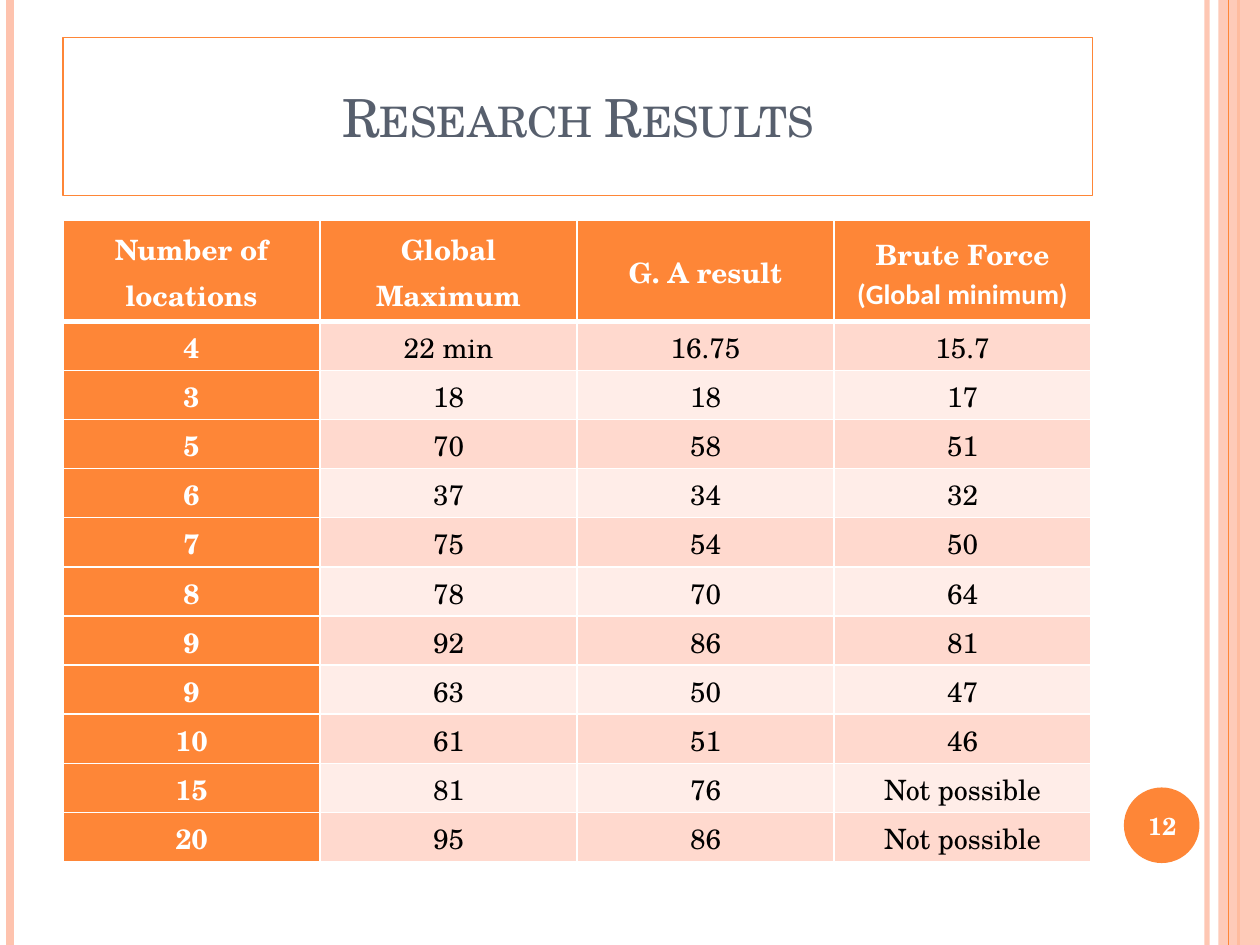
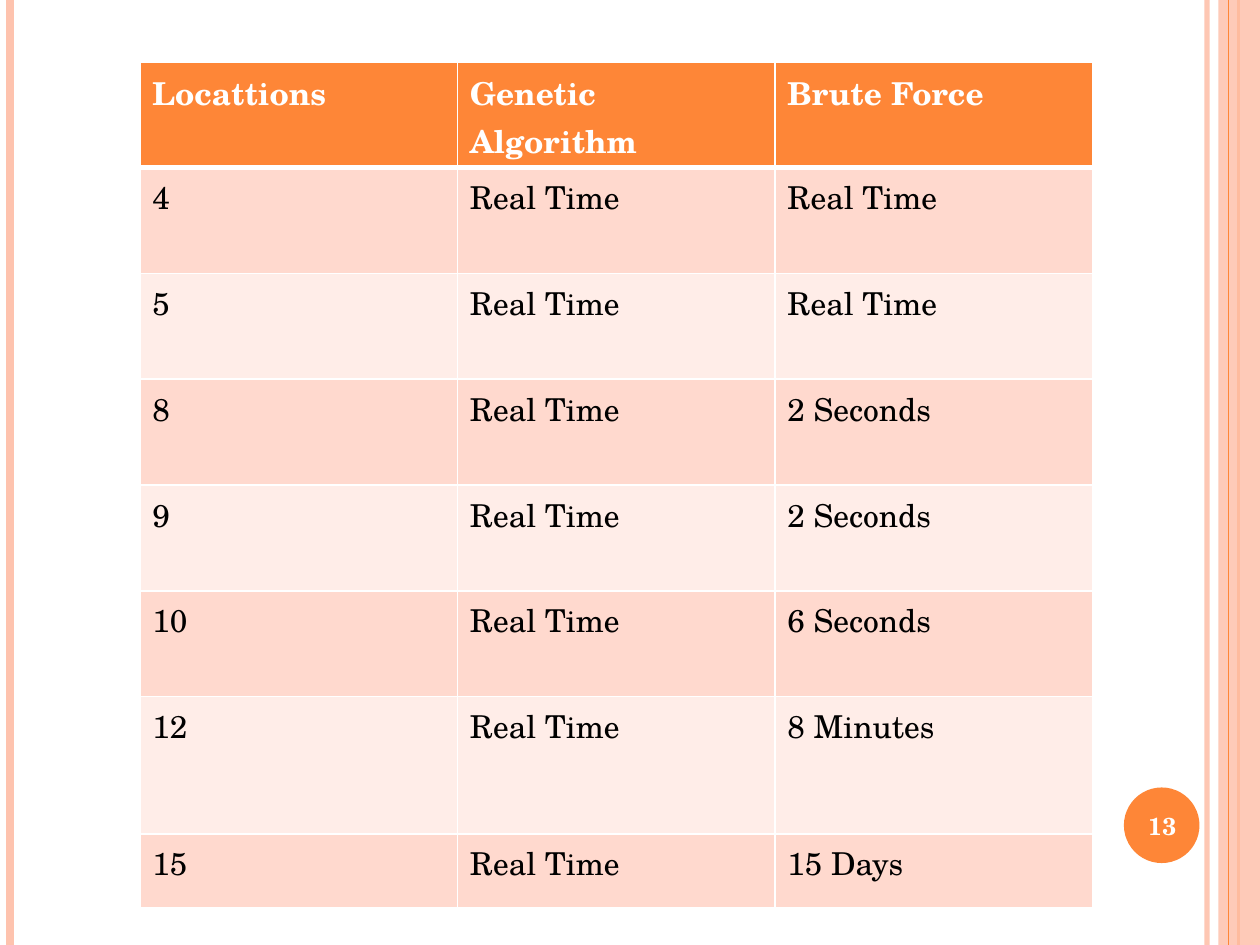
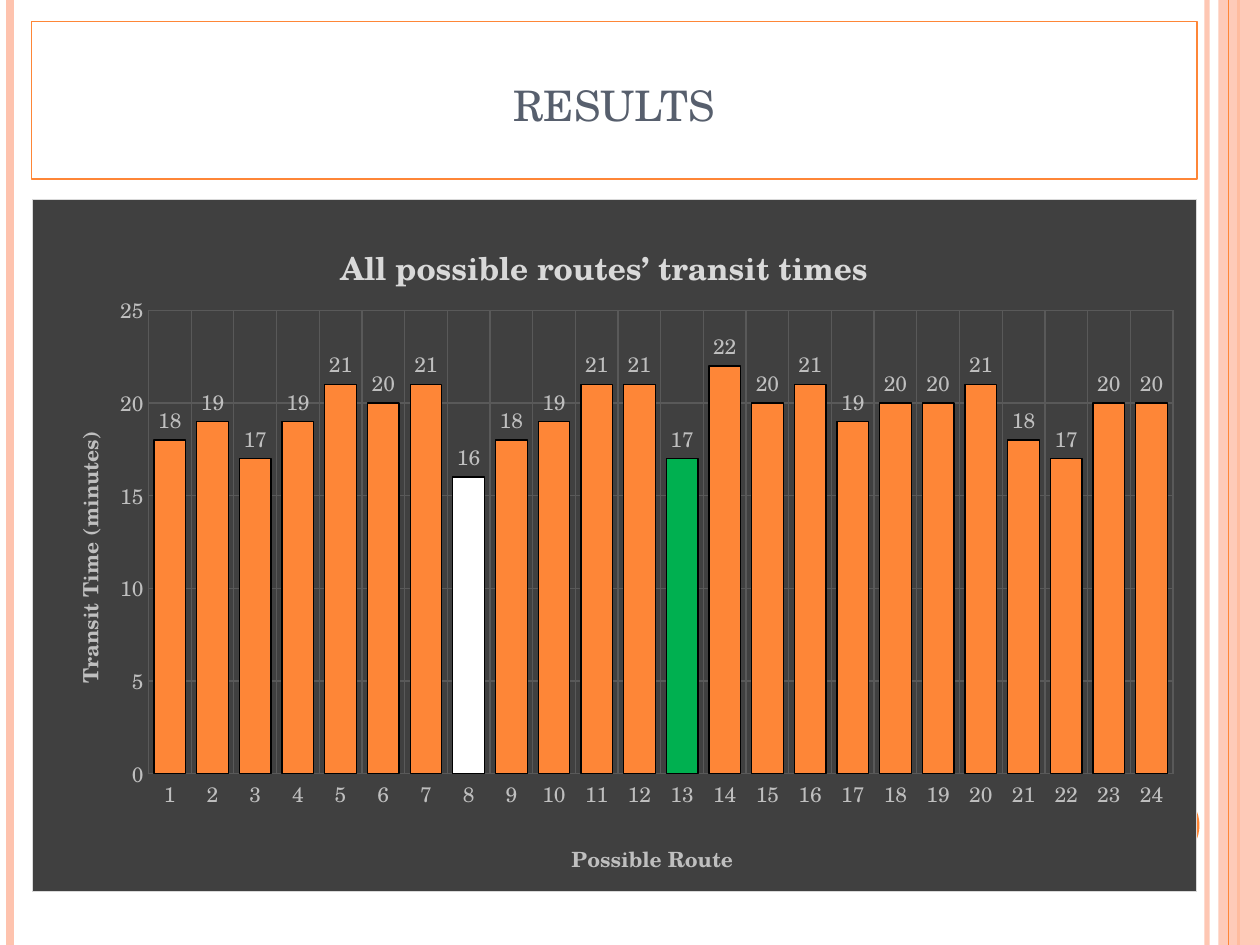
from dataclasses import dataclass
from typing import NamedTuple, Optional

from lxml.etree import SubElement
from pptx import Presentation
from pptx.chart.data import CategoryChartData
from pptx.dml.color import RGBColor
from pptx.enum.chart import XL_CHART_TYPE as ChartType
from pptx.enum.chart import XL_LABEL_POSITION as LabelPos
from pptx.enum.chart import XL_TICK_MARK as Tick
from pptx.enum.shapes import MSO_CONNECTOR as Connector
from pptx.enum.shapes import MSO_SHAPE as Shape
from pptx.enum.text import MSO_ANCHOR as Anchor
from pptx.enum.text import PP_ALIGN as Align
from pptx.oxml import parse_xml
from pptx.oxml.ns import nsdecls, qn
from pptx.util import Emu, Pt

EMU_PER_PX = 9144
SLIDE_W, SLIDE_H = 1000, 750
TITLE_ONLY, BLANK = 5, 6


@dataclass(frozen=True)
class Theme:
    font: str = "TeX Gyre Schola"
    note_font: str = "Calibri"
    accent: str = "FE8637"
    pale: str = "FEC3AE"
    title: str = "575F6D"
    white: str = "FFFFFF"
    black: str = "000000"
    row_fills: tuple[str, str] = ("FFD9CE", "FFEDE8")
    chart_fill: str = "404040"
    chart_border: str = "D9D9D9"
    chart_text: str = "BFBFBF"
    grid: str = "595959"
    found_route: str = "00B050"
    title_size: int = 30
    number_size: int = 14
    chart_title_size: int = 18
    chart_size: int = 12


THEME = Theme()


class Box(NamedTuple):
    x: int
    y: int
    w: int
    h: int


class Stripe(NamedTuple):
    x: int
    color: str
    width: float
    alpha: int = 100


@dataclass(frozen=True)
class TableSpec:
    x: int
    y: int
    col_w: int
    row_heights: list[int]
    rows: list[tuple[str, ...]]
    size: int
    margins: tuple[int, int]
    align: Align = Align.LEFT
    anchor: Anchor = Anchor.TOP
    spacing: Optional[float] = None
    header_column: bool = False


LEFT_STRIPES = [
    Stripe(958, THEME.pale, 3, 93),
    Stripe(8, THEME.pale, 4.5),
    Stripe(983, THEME.accent, 1.5),
]
INNER_STRIPE = Stripe(975, THEME.accent, 0.75)
SIDE_BAND = Box(967, 0, 33, SLIDE_H)
BADGE = Box(892, 625, 60, 60)
NUMBER = Box(889, 627, 67, 57)

RESULTS_TABLE = TableSpec(
    x=50, y=175, col_w=204, row_heights=[80] + [39] * 11,
    rows=[
        ("Number of locations", "Global Maximum", "G. A result",
         "Brute Force\n(Global minimum)"),
        ("4", "22 min", "16.75", "15.7"),
        ("3", "18", "18", "17"),
        ("5", "70", "58", "51"),
        ("6", "37", "34", "32"),
        ("7", "75", "54", "50"),
        ("8", "78", "70", "64"),
        ("9", "92", "86", "81"),
        ("9", "63", "50", "47"),
        ("10", "61", "51", "46"),
        ("15", "81", "76", "Not possible"),
        ("20", "95", "86", "Not possible"),
    ],
    size=16, margins=(7, 0), align=Align.CENTER, anchor=Anchor.MIDDLE,
    spacing=1.07, header_column=True,
)

TIMING_TABLE = TableSpec(
    x=111, y=49, col_w=252, row_heights=[84] * 6 + [109, 59],
    rows=[
        ("Locattions", "Genetic Algorithm", "Brute Force"),
        ("4", "Real Time", "Real Time"),
        ("5", "Real Time", "Real Time"),
        ("8", "Real Time", "2 Seconds"),
        ("9", "Real Time", "2 Seconds"),
        ("10", "Real Time", "6 Seconds"),
        ("12", "Real Time", "8 Minutes"),
        ("15", "Real Time", "15 Days"),
    ],
    size=18, margins=(10, 5),
)

TRANSIT_TIMES = [18, 19, 17, 19, 21, 20, 21, 16, 18, 19, 21, 21,
                 17, 22, 20, 21, 19, 20, 20, 21, 18, 17, 20, 20]
MARKED_ROUTES = {8: THEME.white, 13: THEME.found_route}


def px(n: int) -> Emu:
    return Emu(n * EMU_PER_PX)


def rgb(color: str) -> RGBColor:
    return RGBColor.from_string(color)


def place(box: Box) -> tuple[Emu, ...]:
    return tuple(px(n) for n in box)


def set_font(font, size: float, color: str, bold: bool = False,
             name: str = THEME.font) -> None:
    font.name = name
    font.size = Pt(size)
    font.bold = bold
    font.color.rgb = rgb(color)


def set_fill(fill, color: str) -> None:
    fill.solid()
    fill.fore_color.rgb = rgb(color)


def set_line(line, color: str, width: float) -> None:
    set_fill(line.fill, color)
    line.width = Pt(width)


def set_alpha(element, percent: int) -> None:
    clr = element.find(".//" + qn("a:srgbClr"))
    SubElement(clr, qn("a:alpha"), val=str(percent * 1000))


def add_stripe(s, stripe: Stripe) -> None:
    c = s.shapes.add_connector(Connector.STRAIGHT, px(stripe.x), px(0),
                               px(stripe.x), px(SLIDE_H))
    set_line(c.line, stripe.color, stripe.width)
    sp_pr = c._element.spPr
    SubElement(sp_pr, qn("a:effectLst"))
    if stripe.alpha < 100:
        set_alpha(sp_pr, stripe.alpha)


def add_solid(s, kind: Shape, box: Box, color: str):
    sp = s.shapes.add_shape(kind, *place(box))
    sp.shadow.inherit = False
    set_fill(sp.fill, color)
    sp.line.fill.background()
    return sp


def add_frame(s) -> None:
    for stripe in LEFT_STRIPES:
        add_stripe(s, stripe)
    band = add_solid(s, Shape.RECTANGLE, SIDE_BAND, THEME.pale)
    set_alpha(band._element.spPr, 87)
    add_stripe(s, INNER_STRIPE)
    add_solid(s, Shape.OVAL, BADGE, THEME.accent)


def add_number(s, number: int) -> None:
    tf = s.shapes.add_textbox(*place(NUMBER)).text_frame
    tf.word_wrap = True
    tf.vertical_anchor = Anchor.MIDDLE
    p = tf.paragraphs[0]
    p.text = str(number)
    p.alignment = Align.CENTER
    set_font(p.font, THEME.number_size, THEME.white, bold=True)


def set_title(s, text: str, box: Box) -> None:
    sp = s.shapes.title
    sp.left, sp.top, sp.width, sp.height = place(box)
    set_line(sp.line, THEME.accent, 0.75)
    tf = sp.text_frame
    tf.vertical_anchor = Anchor.MIDDLE
    p = tf.paragraphs[0]
    p.text = text
    p.alignment = Align.CENTER
    set_font(p.font, THEME.title_size, THEME.title)
    p.font._rPr.set("cap", "small")


def add_slide(prs, title: Optional[str] = None, box: Optional[Box] = None):
    s = prs.slides.add_slide(prs.slide_layouts[TITLE_ONLY if title else BLANK])
    if title:
        set_title(s, title, box)
    add_frame(s)
    return s


def set_borders(cell, row: int) -> None:
    tc_pr = cell._tc.get_or_add_tcPr()
    widths = {"L": 1, "R": 1, "T": 3 if row == 1 else 1, "B": 3 if row == 0 else 1}
    for side, width in widths.items():
        ln = SubElement(tc_pr, qn(f"a:ln{side}"), w=str(Pt(width)))
        fill = SubElement(ln, qn("a:solidFill"))
        SubElement(fill, qn("a:srgbClr"), val=THEME.white)


def fill_cell(cell, text: str, spec: TableSpec, row: int, col: int) -> None:
    is_header = row == 0 or (spec.header_column and col == 0)
    set_borders(cell, row)
    set_fill(cell.fill, THEME.accent if is_header else THEME.row_fills[(row - 1) % 2])
    cell.margin_left = cell.margin_right = px(spec.margins[0])
    cell.margin_top = cell.margin_bottom = px(spec.margins[1])
    cell.vertical_anchor = spec.anchor
    cell.text = text
    for p in cell.text_frame.paragraphs:
        p.alignment = spec.align
        p.line_spacing = spec.spacing
        name = THEME.note_font if p.text.startswith("(") else THEME.font
        set_font(p.font, spec.size, THEME.white if is_header else THEME.black,
                 is_header, name)


def add_data_table(s, spec: TableSpec) -> None:
    n_cols = len(spec.rows[0])
    box = Box(spec.x, spec.y, spec.col_w * n_cols, sum(spec.row_heights))
    table = s.shapes.add_table(len(spec.rows), n_cols, *place(box)).table
    table.first_row = table.horz_banding = False
    tbl_pr = table._tbl.tblPr
    tbl_pr.remove(tbl_pr.find(qn("a:tableStyleId")))
    for column in table.columns:
        column.width = px(spec.col_w)
    for row, (height, texts) in enumerate(zip(spec.row_heights, spec.rows)):
        table.rows[row].height = px(height)
        for col, text in enumerate(texts):
            fill_cell(table.cell(row, col), text, spec, row, col)


def make_layout(x: float, y: float, size: Optional[tuple[float, float]] = None):
    values = {"xMode": "edge", "yMode": "edge", "x": x, "y": y}
    if size:
        values = {"layoutTarget": "inner", **values, "w": size[0], "h": size[1]}
    items = "".join(f'<c:{tag} val="{value}"/>' for tag, value in values.items())
    return parse_xml(f'<c:layout {nsdecls("c")}><c:manualLayout>{items}'
                     "</c:manualLayout></c:layout>")


def drop_layout(element) -> None:
    for old in element.findall(qn("c:layout")):
        element.remove(old)


def set_chart_title(title, text: str, size: int, color: str,
                    x: float, y: float) -> None:
    p = title.text_frame.paragraphs[0]
    p.text = text
    set_font(p.font, size, color, bold=True)
    element = title._element
    drop_layout(element)
    element.find(qn("c:tx")).addnext(make_layout(x, y))


def style_axis(axis, text: str, x: float, y: float) -> None:
    axis.major_tick_mark = axis.minor_tick_mark = Tick.NONE
    axis.format.line.fill.background()
    axis.has_major_gridlines = True
    set_line(axis.major_gridlines.format.line, THEME.grid, 0.75)
    set_font(axis.tick_labels.font, THEME.chart_size, THEME.chart_text)
    set_chart_title(axis.axis_title, text, THEME.chart_size, THEME.chart_text, x, y)


def style_chart_area(chart) -> None:
    chart._chartSpace.find(qn("c:chart")).addnext(parse_xml(
        f'<c:spPr {nsdecls("c", "a")}>'
        f'<a:solidFill><a:srgbClr val="{THEME.chart_fill}"/></a:solidFill>'
        f'<a:ln w="{Pt(0.75)}"><a:solidFill><a:srgbClr val="{THEME.chart_border}"/>'
        "</a:solidFill></a:ln></c:spPr>"))
    plot_area = chart._chartSpace.find(".//" + qn("c:plotArea"))
    drop_layout(plot_area)
    plot_area.insert(0, make_layout(0.1, 0.16, (0.88, 0.67)))


def style_bars(plot) -> None:
    plot.gap_width = 35
    plot.overlap = -30
    plot.vary_by_categories = False
    series = plot.series[0]
    series.invert_if_negative = False
    set_fill(series.format.fill, THEME.accent)
    set_line(series.format.line, THEME.black, 0.75)
    for route, color in MARKED_ROUTES.items():
        point = series.points[route - 1].format
        set_fill(point.fill, color)
        set_line(point.line, THEME.black, 0.75)
    plot.has_data_labels = True
    labels = plot.data_labels
    labels.show_value = True
    labels.position = LabelPos.OUTSIDE_END
    set_font(labels.font, THEME.chart_size, THEME.chart_text)


def add_route_chart(s, box: Box) -> None:
    data = CategoryChartData()
    data.categories = [str(n + 1) for n in range(len(TRANSIT_TIMES))]
    data.add_series("Series 1", TRANSIT_TIMES)
    chart = s.shapes.add_chart(ChartType.COLUMN_CLUSTERED, *place(box), data).chart
    set_font(chart.font, 10, THEME.black)
    chart.has_legend = False
    chart.has_title = True
    set_chart_title(chart.chart_title, "All possible routes’ transit times",
                    THEME.chart_title_size, THEME.chart_border, 0.26, 0.05)
    style_axis(chart.category_axis, "Possible Route", 0.46, 0.92)
    values = chart.value_axis
    style_axis(values, "Transit Time (minutes)", 0.03, 0.33)
    body = values.axis_title.text_frame._txBody.bodyPr
    body.set("rot", "-5400000")
    body.set("vert", "horz")
    values.minimum_scale, values.maximum_scale, values.major_unit = 0, 25, 5
    style_bars(chart.plots[0])
    style_chart_area(chart)


def main() -> None:
    prs = Presentation()
    prs.slide_width, prs.slide_height = px(SLIDE_W), px(SLIDE_H)

    s = add_slide(prs, "Research Results", Box(50, 30, 817, 125))
    add_data_table(s, RESULTS_TABLE)
    add_number(s, 12)

    s = add_slide(prs)
    add_number(s, 13)
    add_data_table(s, TIMING_TABLE)

    s = add_slide(prs, "results", Box(25, 17, 925, 125))
    add_route_chart(s, Box(25, 158, 925, 550))

    prs.save("out.pptx")


if __name__ == "__main__":
    main()
